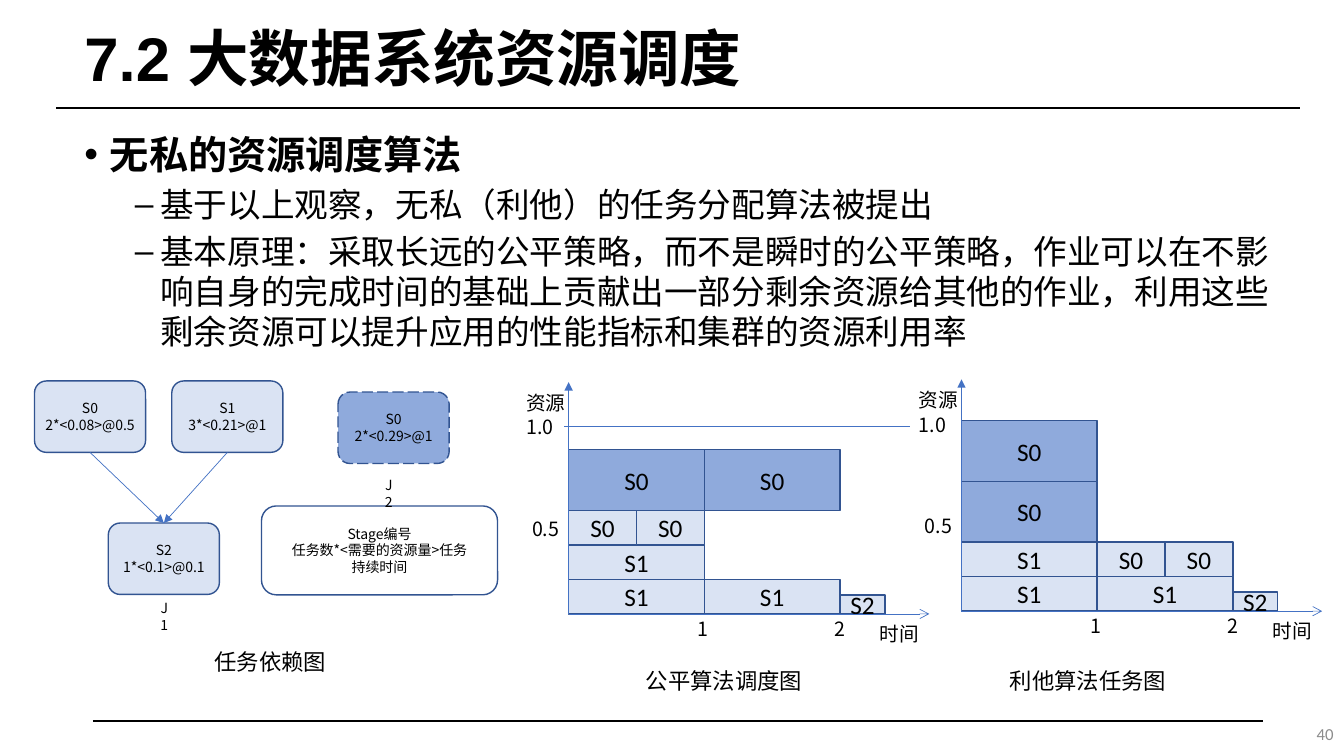
from typing import NamedTuple

from lxml import etree
from pptx import Presentation, util as u
from pptx.dml.color import RGBColor
from pptx.enum import dml, shapes, text
from pptx.oxml.ns import qn

CJK = "Noto Sans CJK SC"
PALE, DEEP, BORDER, AXIS = "DAE3F3", "8FAADC", "325491", "4472C4"
UNIT = 3.42  # width of one time unit, cm
LOW, HIGH, TINY = 0.87, 1.53, 0.48  # block heights, cm
NODE_WIDTH, NODE_HEIGHT = 2.8, 1.8


class Node(NamedTuple):
    lines: list[str]
    left: float
    top: float
    width: float = NODE_WIDTH
    height: float = NODE_HEIGHT
    fill: str | None = PALE
    dashed: bool = False


class Block(NamedTuple):
    """A task on a chart: start and duration in time units, base in cm above the axis."""
    label: str
    start: float
    base: float
    duration: float = 1
    height: float = LOW
    fill: str = PALE


class Label(NamedTuple):
    words: str
    left: float
    top: float
    width: float
    height: float = 0.86


class Schedule(NamedTuple):
    left: float
    bottom: float
    blocks: list[Block]


TAIL = Block("S2", 2, 0, 0.33, TINY)
BASE = [Block("S1", 0, 0), Block("S1", 1, 0), Block("S1", 0, LOW), TAIL]
FAIR = Schedule(14.33, 15.47, [
    *BASE, Block("S0", 0, 2 * LOW, 0.5), Block("S0", 0.5, 2 * LOW, 0.5),
    Block("S0", 0, 3 * LOW, 1, HIGH, DEEP), Block("S0", 1, 3 * LOW, 1, HIGH, DEEP)])
ALTRUISTIC = Schedule(24.23, 15.4, [
    *BASE, Block("S0", 1, LOW, 0.5), Block("S0", 1.5, LOW, 0.5),
    Block("S0", 0, 2 * LOW, 1, HIGH, DEEP),
    Block("S0", 0, 2 * LOW + HIGH, 1, HIGH, DEEP)])
AXIS_LABELS = [  # offsets from the chart's zero point
    Label("资源", -1.32, -5.74, 1.5), Label("1.0", -1.32, -5.13, 1.19),
    Label("0.5", -1.17, -2.58, 1.19), Label("1", 3, -0.05, 0.79),
    Label("2", 6.45, -0.05, 0.79), Label("时间", 7.59, 0.08, 1.5)]
CAPTIONS = [Label("任务依赖图", 5.16, 16.21, 3.35, 0.94),
            Label("公平算法调度图", 16.03, 16.69, 4.5, 0.94),
            Label("利他算法任务图", 25.2, 16.69, 4.5, 0.94)]
JOB_NAMES = [Label("J1", 3.71, 14.99, 0.86, 0.69), Label("J2", 9.37, 11.89, 0.86, 0.69)]
NODES = [Node(["S0", "2*<0.08>@0.5"], 0.87, 9.6),
         Node(["S1", "3*<0.21>@1"], 4.33, 9.6),
         Node(["S2", "1*<0.1>@0.1"], 2.73, 13.18),
         Node(["S0", "2*<0.29>@1"], 8.52, 9.88, fill=DEEP, dashed=True),
         Node(["Stage编号", "任务数*<需要的资源量>任务", "持续时间"],
              6.59, 12.75, 5.95, 2.24, fill=None)]
BULLETS = [
    ("•", 0.64, 0, 36.5, 28, True, "无私的资源调度算法"),
    ("–", 1.91, 5, 28.6, 24, False, "基于以上观察，无私（利他）的任务分配算法被提出"),
    ("–", 1.91, 5, 28.6, 24, False,
     "基本原理：采取长远的公平策略，而不是瞬时的公平策略，作业可以在不影响自身的完成时间的"
     "基础上贡献出一部分剩余资源给其他的作业，利用这些剩余资源可以提升应用的性能指标和集群的"
     "资源利用率")]

presentation = Presentation()
presentation.slide_width, presentation.slide_height = u.Cm(33.87), u.Cm(19.05)
slide = presentation.slides.add_slide(presentation.slide_layouts[6])


def color(value: str) -> RGBColor:
    return RGBColor.from_string(value)


def apply(target, values: dict) -> None:
    for name, value in values.items():
        setattr(target, name, value)


def write(paragraph, words: str, size: float, font: str = CJK, bold: bool = False,
          ink: str = "000000") -> None:
    run = paragraph.add_run()
    run.text = words
    apply(run.font, {"size": u.Pt(size), "name": font, "bold": bold})
    run.font.color.rgb = color(ink)
    east_asian = etree.SubElement(run.font._element, qn("a:ea"))
    east_asian.set("typeface", CJK)


def fill_lines(frame, lines: list[str], size: float, font: str = CJK,
               align=text.PP_ALIGN.CENTER) -> None:
    for index, words in enumerate(lines):
        paragraph = frame.add_paragraph() if index else frame.paragraphs[0]
        paragraph.alignment = align
        write(paragraph, words, size, font)


def add_box(kind, left: float, top: float, width: float, height: float,
            fill: str | None):
    shape = slide.shapes.add_shape(kind, *map(u.Cm, (left, top, width, height)))
    shape.shadow.inherit = False
    if fill:
        shape.fill.solid()
        shape.fill.fore_color.rgb = color(fill)
    else:
        shape.fill.background()
    shape.line.color.rgb = color(BORDER)
    shape.line.width = u.Pt(1)
    apply(shape.text_frame, {"word_wrap": False, "vertical_anchor": text.MSO_ANCHOR.MIDDLE})
    return shape


def add_frame(left: float, top: float, width: float, height: float, **values):
    frame = slide.shapes.add_textbox(*map(u.Cm, (left, top, width, height))).text_frame
    apply(frame, {"word_wrap": True, **values})
    return frame


def add_line(x1: float, y1: float, x2: float, y2: float, ink: str = AXIS,
             weight: float = 0.5, arrow: str | None = None):
    line = slide.shapes.add_connector(shapes.MSO_CONNECTOR.STRAIGHT,
                                      *map(u.Cm, (x1, y1, x2, y2)))
    line.line.color.rgb = color(ink)
    line.line.width = u.Pt(weight)
    if arrow:
        etree.SubElement(line.line._get_or_add_ln(), qn("a:tailEnd")).set("type", arrow)
    etree.SubElement(line._element.spPr, qn("a:effectLst"))
    return line


def add_label(label: Label, size: float, dx: float = 0, dy: float = 0) -> None:
    frame = add_frame(label.left + dx, label.top + dy, label.width, label.height,
                      word_wrap=False, auto_size=text.MSO_AUTO_SIZE.SHAPE_TO_FIT_TEXT)
    fill_lines(frame, [label.words], size, align=text.PP_ALIGN.LEFT)


def add_node(node: Node):
    shape = add_box(shapes.MSO_SHAPE.ROUNDED_RECTANGLE, node.left, node.top,
                    node.width, node.height, node.fill)
    if node.dashed:
        shape.line.dash_style = dml.MSO_LINE.LONG_DASH
    fill_lines(shape.text_frame, node.lines, 10)
    return shape


def add_schedule(schedule: Schedule) -> None:
    left, bottom = schedule.left, schedule.bottom
    for block in schedule.blocks:
        shape = add_box(shapes.MSO_SHAPE.RECTANGLE, left + block.start * UNIT,
                        bottom - block.base - block.height,
                        block.duration * UNIT, block.height, block.fill)
        fill_lines(shape.text_frame, [block.label], 18, "Calibri")
    add_line(left, bottom, left, bottom - 5.84, arrow="triangle")
    add_line(left, bottom, left + 9.09, bottom, arrow="arrow")
    for label in AXIS_LABELS:
        add_label(label, 14, left, bottom)


def add_bullets() -> None:
    frame = add_frame(1.88, 3.05, 30.45, 7.98)
    for index, (mark, indent, before, spacing, size, bold, words) in enumerate(BULLETS):
        paragraph = frame.add_paragraph() if index else frame.paragraphs[0]
        apply(paragraph, {"space_before": u.Pt(before), "line_spacing": u.Pt(spacing),
                          "level": min(index, 1)})
        properties = paragraph._p.get_or_add_pPr()
        properties.set("marL", str(u.Cm(indent)))
        properties.set("indent", str(-u.Cm(0.64)))
        etree.SubElement(properties, qn("a:buFont")).set("typeface", "Arial")
        etree.SubElement(properties, qn("a:buChar")).set("char", mark)
        write(paragraph, words, size, "Calibri", bold)


add_line(1.42, 2.72, 32.77, 2.72, "000000", 1.75)
add_line(2.34, 18.16, 31.83, 18.16, "000000", 1.25)
title = add_frame(1.88, 0.38, 30.35, 2.34, vertical_anchor=text.MSO_ANCHOR.MIDDLE).paragraphs[0]
title.line_spacing = 0.9
write(title, "7.2 大数据系统资源调度", 44, "Arial", True)
add_bullets()

for caption in CAPTIONS:
    add_label(caption, 16)
first, second, last, *_ = [add_node(node) for node in NODES]
for source in (first, second):
    dependency = add_line(0, 0, 1, 1, arrow="triangle")
    dependency.begin_connect(source, 2)
    dependency.end_connect(last, 0)
for job in JOB_NAMES:
    narrow = add_frame(*job[1:], margin_left=u.Cm(0.32), margin_right=u.Cm(0.32))
    fill_lines(narrow, [job.words], 10)

for chart in (FAIR, ALTRUISTIC):
    add_schedule(chart)
add_line(14.22, 10.74, 22.94, 10.74)

page = add_frame(26.24, 17.98, 7.62, 1.02, vertical_anchor=text.MSO_ANCHOR.MIDDLE).paragraphs[0]
page.alignment = text.PP_ALIGN.RIGHT
write(page, "40", 12, "Calibri", ink="8C8C8C")

presentation.save("out.pptx")
